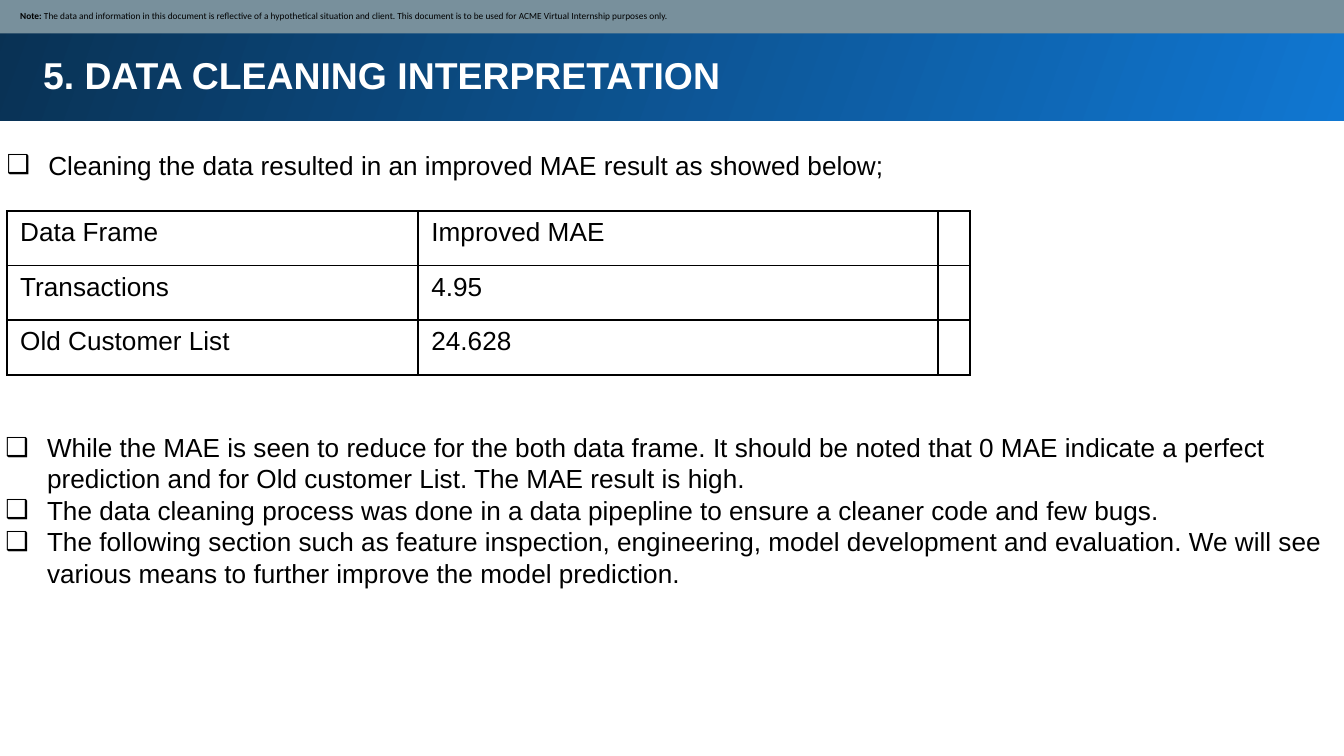
from lxml import etree
from pptx import Presentation
from pptx.dml.color import RGBColor
from pptx.enum.shapes import MSO_SHAPE
from pptx.enum.text import MSO_ANCHOR, MSO_AUTO_SIZE, PP_ALIGN
from pptx.oxml.ns import qn
from pptx.util import Inches, Pt

RECTANGLE = MSO_SHAPE.RECTANGLE
TOP, MIDDLE = MSO_ANCHOR.TOP, MSO_ANCHOR.MIDDLE
NO_FIT = MSO_AUTO_SIZE.NONE
LEFT = PP_ALIGN.LEFT

BLACK = RGBColor(0x00, 0x00, 0x00)
WHITE = RGBColor(0xFF, 0xFF, 0xFF)
BRIGHT_BLUE = RGBColor(0x10, 0x77, 0xD2)
NAVY = RGBColor(0x09, 0x31, 0x53)
SLATE = RGBColor(0x78, 0x90, 0x9C)

TITLE = "5. DATA CLEANING INTERPRETATION"
NOTE = [
    ("Note: ", True),
    ("The data and information in this document is reflective of a hypothetical "
     "situation and client. This document is to be used for ACME Virtual "
     "Internship purposes only.", False),
]
INTRO = ["Cleaning the data resulted in an improved MAE result as showed below;"]
MAE_ROWS = [
    ("Data Frame", "Improved MAE", ""),
    ("Transactions", "4.95", ""),
    ("Old Customer List", "24.628", ""),
]
FINDINGS = [
    "While the MAE is seen to reduce for the both data frame. It should be noted "
    "that 0 MAE indicate a perfect prediction and for Old customer List. The MAE "
    "result is high.",
    "The data cleaning process was done in a data pipepline to ensure a cleaner "
    "code and few bugs.",
    "The following section such as feature inspection, engineering, model "
    "development and evaluation. We will see various means to further improve "
    "the model prediction.",
]
SLIDE_WIDTH = Inches(10)
SLIDE_HEIGHT = SLIDE_WIDTH * 9 // 16
COLUMN_WIDTHS = (3.06, 3.87, 0.24)
TABLE_HEIGHT = 1.22
BULLET_INDENT = Inches(0.31)


def place(part, left, top, width, height):
    part.left, part.top = Inches(left), Inches(top)
    part.width, part.height = Inches(width), Inches(height)


def set_frame(frame, inset, anchor=TOP):
    frame.word_wrap = True
    frame.auto_size = NO_FIT
    frame.vertical_anchor = anchor
    frame.margin_left = frame.margin_right = Inches(inset)
    frame.margin_top = frame.margin_bottom = Inches(inset)


def add_text(paragraph, text, size, color=BLACK, bold=False, face="Arial"):
    paragraph.alignment = LEFT
    run = paragraph.add_run()
    run.text = text
    run.font.name, run.font.size = face, Pt(size)
    run.font.bold, run.font.color.rgb = bold, color


def fill_list(body, items, box):
    place(body, *box)
    frame = body.text_frame
    set_frame(frame, 0.05)
    for index, item in enumerate(items):
        paragraph = frame.add_paragraph() if index else frame.paragraphs[0]
        properties = paragraph._p.get_or_add_pPr()
        properties.set("marL", str(BULLET_INDENT))
        properties.set("indent", str(-BULLET_INDENT))
        etree.SubElement(properties, qn("a:buFont"), typeface="Arial")
        etree.SubElement(properties, qn("a:buChar"), char="❑")
        paragraph.space_before = Pt(0)
        add_text(paragraph, item, 14)


def add_bar(shapes, *box):
    bar = shapes.add_shape(RECTANGLE, *map(Inches, box))
    bar.shadow.inherit = False
    bar.line.fill.background()
    return bar


def add_borders(cell):
    properties = cell._tc.get_or_add_tcPr()
    for index, side in enumerate(("lnL", "lnR", "lnT", "lnB")):
        line = etree.Element(qn(f"a:{side}"), w=str(Pt(1)))
        fill = etree.SubElement(line, qn("a:solidFill"))
        etree.SubElement(fill, qn("a:srgbClr"), val=str(BLACK))
        properties.insert(index, line)


def add_mae_table(shapes):
    box = (0.05, 1.57, sum(COLUMN_WIDTHS), TABLE_HEIGHT)
    table = shapes.add_table(
        len(MAE_ROWS), len(COLUMN_WIDTHS), *map(Inches, box)).table
    table.first_row = table.horz_banding = False
    for column, width in zip(table.columns, COLUMN_WIDTHS):
        column.width = Inches(width)
    for row, values in zip(table.rows, MAE_ROWS):
        row.height = Inches(TABLE_HEIGHT / len(MAE_ROWS))
        for cell, value in zip(row.cells, values):
            cell.fill.background()
            add_borders(cell)
            if value:
                add_text(cell.text_frame.paragraphs[0], value, 14)


def main():
    deck = Presentation()
    deck.slide_width, deck.slide_height = SLIDE_WIDTH, SLIDE_HEIGHT
    slide = deck.slides.add_slide(deck.slide_layouts[3])
    shapes = slide.shapes
    title, intro, findings = slide.placeholders

    banner = add_bar(shapes, -0.02, -0.02, 10.05, 0.92)
    banner.fill.gradient()
    banner.fill.gradient_angle = 160
    for stop, color in zip(banner.fill.gradient_stops, (BRIGHT_BLUE, NAVY)):
        stop.color.rgb = color
    title._element.addprevious(banner._element)

    place(title, 0.22, 0.29, 9.37, 0.54)
    set_frame(title.text_frame, 0.1)
    add_text(title.text_frame.paragraphs[0], TITLE, 20, WHITE, True)

    note = add_bar(shapes, -0.01, -0.01, 10.03, 0.26)
    note.fill.solid()
    note.fill.fore_color.rgb = SLATE
    set_frame(note.text_frame, 0.05, MIDDLE)
    note.text_frame.margin_left = Inches(0.16)
    for text, bold in NOTE:
        add_text(note.text_frame.paragraphs[0], text, 5, BLACK, bold, "Calibri")

    fill_list(intro, INTRO, (0, 1.06, 10.03, 0.34))
    add_mae_table(shapes)
    fill_list(findings, FINDINGS, (-0.01, 3.16, 10.03, 1.28))
    deck.save("out.pptx")


if __name__ == "__main__":
    main()
